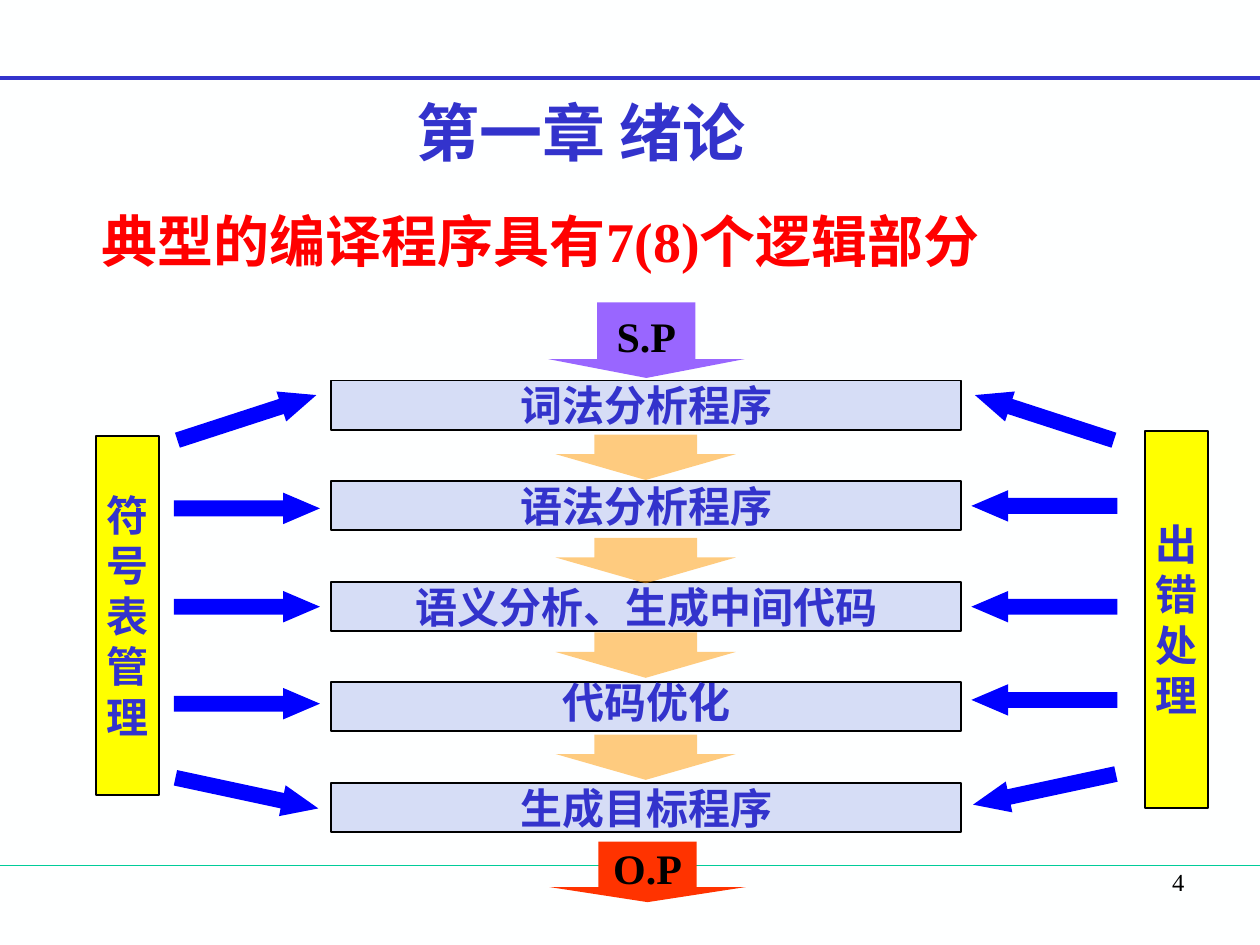
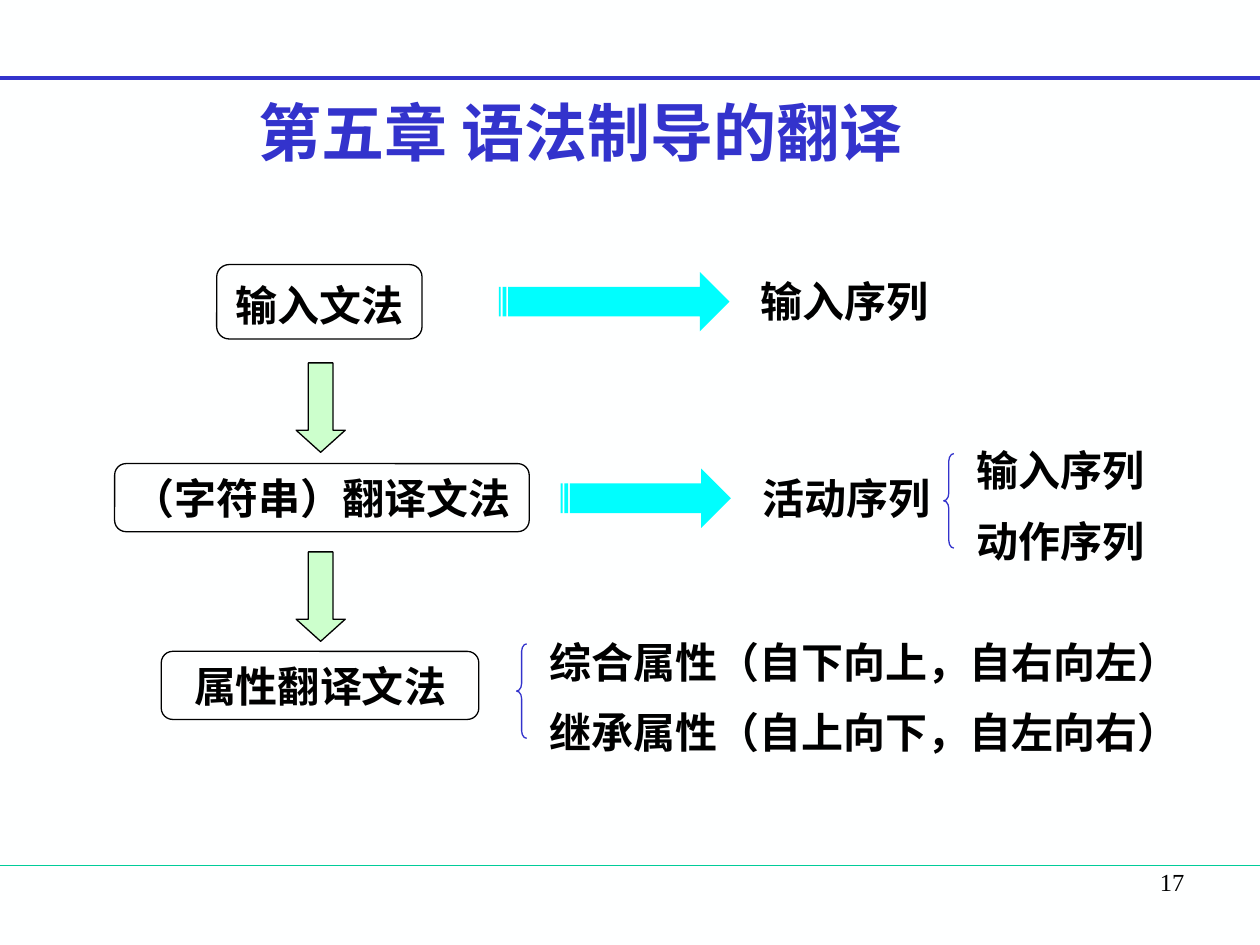
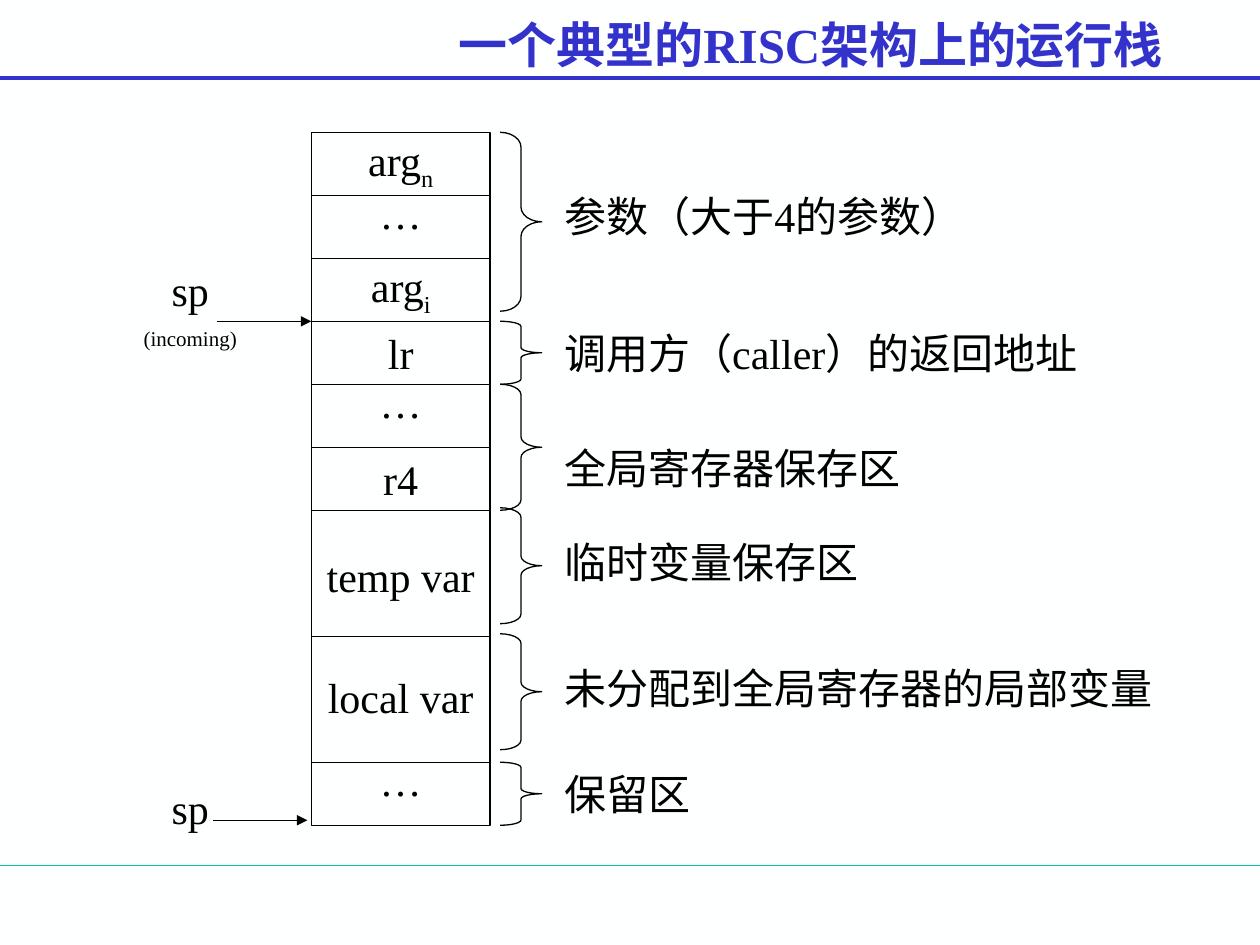
from dataclasses import dataclass
from typing import NamedTuple, Optional, Sequence

from lxml.etree import SubElement
from pptx import Presentation
from pptx.dml.color import RGBColor
from pptx.enum.shapes import MSO_CONNECTOR, MSO_SHAPE as Shape
from pptx.enum.text import MSO_ANCHOR as Anchor, MSO_AUTO_SIZE as Fit, PP_ALIGN as Align
from pptx.oxml.ns import qn
from pptx.util import Emu, Inches, Pt

COLS, ROWS = 100, 75
PAGE_W, PAGE_H = Inches(10), Inches(7.5)

SERIF = "Times New Roman"
CJK = "Noto Sans CJK SC"


class Style(NamedTuple):
    size: float
    color: str
    bold: bool = False
    face: str = SERIF


@dataclass(frozen=True)
class Theme:
    page: str = "FEFFFF"
    ink: str = "000000"
    blue: str = "3333CC"
    green: str = "00CC99"
    violet: str = "9966FF"
    vermilion: str = "FF3300"
    orange: str = "FF9900"
    pale_blue: str = "D6DDF6"
    yellow: str = "FFFF00"
    arrow_blue: str = "0000FF"
    pale_green: str = "CCFFCC"
    cyan: str = "00FEFE"
    hairline: float = 0.75
    outline: float = 1
    rule: float = 2.25
    chapter: Style = Style(36, "3333CC", True, CJK)
    title: Style = Style(28, "3333CC", True)
    heading: Style = Style(32, "FF0000", True)
    phase: Style = Style(24, "3333CC", True, CJK)
    strong: Style = Style(24, "000000", True)
    body: Style = Style(24, "000000")
    note: Style = Style(12, "000000")
    number: Style = Style(14, "000000")


T = Theme()


class Box(NamedTuple):
    col: float
    row: float
    cols: float
    rows: float

    def emu(self) -> tuple:
        return across(self.col), down(self.row), across(self.cols), down(self.rows)


class StackCell(NamedTuple):
    rows: float
    label: str
    label_row: float
    subscript: str = ""


class Region(NamedTuple):
    row: float
    rows: float
    label: str
    label_row: float
    label_cols: float


class Manager(NamedTuple):
    name: str
    box: Box
    arrow_col: float
    arrow_rows: Sequence[float]
    flipped: bool


class Grammar(NamedTuple):
    name: str
    box: Box
    spacing: Optional[float] = None


class Yield(NamedTuple):
    arrow: Box
    name: str
    label: Box


class Choice(NamedTuple):
    brace: Box
    items: Sequence[str]
    label: Box


def across(cols: float) -> Emu:
    return Emu(round(PAGE_W * cols / COLS))


def down(rows: float) -> Emu:
    return Emu(round(PAGE_H * rows / ROWS))


def rgb(color: str) -> RGBColor:
    return RGBColor.from_string(color)


def style_paragraph(p, style: Style, align=None, spacing: Optional[float] = None) -> None:
    p.alignment = align
    if spacing:
        p.line_spacing = spacing
    f = p.font
    f.size, f.bold, f.name = Pt(style.size), style.bold, style.face
    f.color.rgb = rgb(style.color)
    SubElement(p._p.pPr.find(qn("a:defRPr")), qn("a:ea"), typeface=CJK)


def write(s, lines: Sequence[str], style: Style, align=Align.CENTER, anchor=Anchor.MIDDLE,
          wrap: bool = False, spacing: Optional[float] = None):
    tf = s.text_frame
    tf.word_wrap = wrap
    tf.vertical_anchor = anchor
    for i, line in enumerate(lines):
        p = tf.add_paragraph() if i else tf.paragraphs[0]
        p.add_run().text = line
        style_paragraph(p, style, align, spacing)
    return tf


def add_text(slide, box: Box, lines: Sequence[str], style: Style, align=Align.LEFT,
             anchor=Anchor.TOP, wrap: bool = True, grow: bool = True,
             spacing: Optional[float] = None):
    s = slide.shapes.add_textbox(*box.emu())
    tf = write(s, lines, style, align, anchor, wrap, spacing)
    tf.auto_size = Fit.SHAPE_TO_FIT_TEXT if grow else Fit.NONE
    return tf


def add_figure(slide, kind: Shape, box: Box, fill: Optional[str] = None,
               line: Optional[str] = None, width: float = T.hairline,
               adjust: Sequence[float] = (), alpha: Optional[int] = None):
    s = slide.shapes.add_shape(kind, *box.emu())
    s.shadow.inherit = False
    if fill:
        s.fill.solid()
        s.fill.fore_color.rgb = rgb(fill)
    else:
        s.fill.background()
    if alpha is not None:
        color = s._element.spPr.find(qn("a:solidFill"))[0]
        SubElement(color, qn("a:alpha"), val=str(alpha * 1000))
    if line:
        s.line.color.rgb = rgb(line)
        s.line.width = Pt(width)
    else:
        s.line.fill.background()
    for i, value in enumerate(adjust):
        s.adjustments[i] = value
    return s


def add_line(slide, start: tuple, end: tuple, color: str, width: float, arrow: bool = False) -> None:
    s = slide.shapes.add_connector(MSO_CONNECTOR.STRAIGHT, across(start[0]), down(start[1]),
                                   across(end[0]), down(end[1]))
    s.line.color.rgb = rgb(color)
    s.line.width = Pt(width)
    props = s._element.spPr
    if arrow:
        SubElement(props.find(qn("a:ln")), qn("a:tailEnd"), type="triangle")
    SubElement(props, qn("a:effectLst"))


def new_slide(prs, title: str, style: Style, title_box: Box, number: str = ""):
    slide = prs.slides.add_slide(prs.slide_layouts[6])
    slide.background.fill.solid()
    slide.background.fill.fore_color.rgb = rgb(T.page)
    add_line(slide, (0, 68.7), (COLS, 68.7), T.green, T.hairline)
    add_line(slide, (0, 6.2), (COLS, 6.2), T.blue, T.rule)
    add_text(slide, title_box, [title], style, Align.CENTER, Anchor.MIDDLE, grow=False)
    if number:
        add_text(slide, Box(71.7, 68.3, 23.3, 5.2), [number], T.number, Align.RIGHT, grow=False)
    return slide


CHAPTER_BOX = Box(11.1, 6.7, 70, 7.5)
STACK_COL, STACK_COLS, STACK_ROW = 24.7, 14.2, 10.5


def compiler_parts(prs) -> None:
    slide = new_slide(prs, "第一章 绪论", T.chapter, CHAPTER_BOX, "4")
    add_text(slide, Box(7.1, 15.9, 87.3, 51.7), ["典型的编译程序具有7(8)个逻辑部分"],
             T.heading, grow=False)
    for name, box, fill in (("S.P", Box(43.5, 24, 15.6, 6), T.violet),
                            ("O.P", Box(43.6, 66.8, 15.6, 4.8), T.vermilion)):
        s = add_figure(slide, Shape.DOWN_ARROW, box, fill, adjust=(0.5, 0.25))
        write(s, [name], T.strong)

    phases = ("词法分析程序", "语法分析程序", "语义分析、生成中间代码", "代码优化", "生成目标程序")
    for i, name in enumerate(phases):
        s = add_figure(slide, Shape.RECTANGLE, Box(26.3, 30.2 + 7.98 * i, 50, 3.9),
                       T.pale_blue, T.ink, T.outline)
        write(s, [name], T.phase, spacing=0.8 if name == "代码优化" else None)
    for row in (34.5, 42.7, 50.2, 58.3):
        add_figure(slide, Shape.DOWN_ARROW, Box(44.1, row, 14.3, 3.6), T.orange,
                   adjust=(0.57, 0.57), alpha=50)

    managers = (
        Manager("符号表管理", Box(7.6, 34.6, 5, 28.5), 13.8, (31.9, 39.1, 46.9, 54.6, 61.7), False),
        Manager("出错处理", Box(90.9, 34.2, 5, 29.9), 77.1, (31.9, 38.9, 46.9, 54.3, 61.4), True),
    )
    tilts = (-18, 0, 0, 0, 12.1)
    for m in managers:
        s = add_figure(slide, Shape.RECTANGLE, m.box, T.yellow, T.ink, T.outline)
        write(s, list(m.name), T.phase)
        for row, tilt in zip(m.arrow_rows, tilts):
            s = add_figure(slide, Shape.RIGHT_ARROW, Box(m.arrow_col, row, 11.6, 2.5),
                           T.arrow_blue, adjust=(0.5, 1.17))
            s.rotation = -tilt if m.flipped else tilt
            if m.flipped:
                s._element.spPr.xfrm.set("flipH", "1")


def translation_grammars(prs) -> None:
    slide = new_slide(prs, "第五章 语法制导的翻译", T.chapter, CHAPTER_BOX, "17")
    for row in (28.8, 43.8):
        add_figure(slide, Shape.DOWN_ARROW, Box(23.5, row, 3.9, 7.1), T.pale_green, T.ink,
                   adjust=(0.5, 0.45))
    grammars = (
        Grammar("输入文法", Box(17.2, 21, 16.3, 5.9), 1.1),
        Grammar("（字符串）翻译文法", Box(9.1, 36.8, 32.9, 5.4)),
        Grammar("属性翻译文法", Box(12.8, 51.7, 25.2, 5.4)),
    )
    for g in grammars:
        s = add_figure(slide, Shape.ROUNDED_RECTANGLE, g.box, line=T.ink)
        write(s, [g.name], T.strong, spacing=g.spacing)
    yields = (
        Yield(Box(39.6, 21.6, 18.3, 4.7), "输入序列", Box(59.4, 21.4, 15.5, 5)),
        Yield(Box(44.5, 37.2, 13.5, 4.7), "活动序列", Box(59.5, 37, 15.6, 5)),
    )
    for y in yields:
        add_figure(slide, Shape.STRIPED_RIGHT_ARROW, y.arrow, T.cyan)
        add_text(slide, y.label, [y.name], T.strong, wrap=False)
    choices = (
        Choice(Box(74.9, 36, 0.8, 7.5), ("输入序列", "动作序列"), Box(76.5, 33.2, 15.3, 12.2)),
        Choice(Box(41, 51.1, 0.8, 7.5),
               ("综合属性（自下向上，自右向左）", "继承属性（自上向下，自左向右）"),
               Box(42.6, 48.4, 52.8, 12.3)),
    )
    for c in choices:
        add_figure(slide, Shape.LEFT_BRACE, c.brace, line=T.blue, adjust=(0.75, 0.5))
        add_text(slide, c.label, c.items, T.strong, wrap=False, spacing=1.4)


def runtime_stack(prs) -> None:
    slide = new_slide(prs, "一个典型的RISC架构上的运行栈", T.title, Box(28.7, 0, 71.3, 6.9))
    cells = (
        StackCell(5, "arg", 10.2, "n"),
        StackCell(5, "…", 14.4),
        StackCell(5, "arg", 20.2, "i"),
        StackCell(5, "lr", 25.5),
        StackCell(5, "…", 29.4),
        StackCell(5, "r4", 35.5),
        StackCell(10, "temp var", 43.2),
        StackCell(10, "local var", 52.8),
        StackCell(5, "…", 59.4),
    )
    row = STACK_ROW
    for cell in cells:
        add_figure(slide, Shape.RECTANGLE, Box(STACK_COL, row, STACK_COLS, cell.rows), line=T.ink)
        tf = add_text(slide, Box(STACK_COL, cell.label_row, STACK_COLS, 5), [cell.label],
                      T.body, Align.CENTER)
        if cell.subscript:
            r = tf.paragraphs[0].add_run()
            r.text = cell.subscript
            r._r.get_or_add_rPr().set("baseline", "-25000")
        row += cell.rows

    regions = (
        Region(10.5, 14.2, "参数（大于4的参数）", 14.6, 36.9),
        Region(25.5, 5, "调用方（caller）的返回地址", 25.5, 48.3),
        Region(30.5, 10, "全局寄存器保存区", 34.6, 42.5),
        Region(40.3, 9.2, "临时变量保存区", 42.1, 39.2),
        Region(50.3, 9.2, "未分配到全局寄存器的局部变量", 52.1, 51.1),
        Region(60.5, 5, "保留区", 60.5, 20.3),
    )
    for g in regions:
        add_figure(slide, Shape.RIGHT_BRACE, Box(39.7, g.row, 3.3, g.rows), line=T.ink,
                   adjust=(g.rows / 40, 0.5))
        add_text(slide, Box(43.8, g.label_row, g.label_cols, 5), [g.label], T.body)

    tf = add_text(slide, Box(8, 20.5, 14.2, 8), ["sp", "(incoming)"], T.body, Align.CENTER)
    incoming = tf.paragraphs[1]
    incoming.font.size = Pt(T.note.size)
    incoming.space_before = Pt(T.note.size / 2)
    add_text(slide, Box(8, 61.6, 14.2, 5), ["sp"], T.body, Align.CENTER)
    for col, row in ((17.2, 25.5), (16.9, 65.1)):
        add_line(slide, (col, row), (col + 7.5, row), T.ink, T.hairline, arrow=True)


def main() -> None:
    prs = Presentation()
    prs.slide_width, prs.slide_height = PAGE_W, PAGE_H
    compiler_parts(prs)
    translation_grammars(prs)
    runtime_stack(prs)
    prs.save("out.pptx")


if __name__ == "__main__":
    main()
